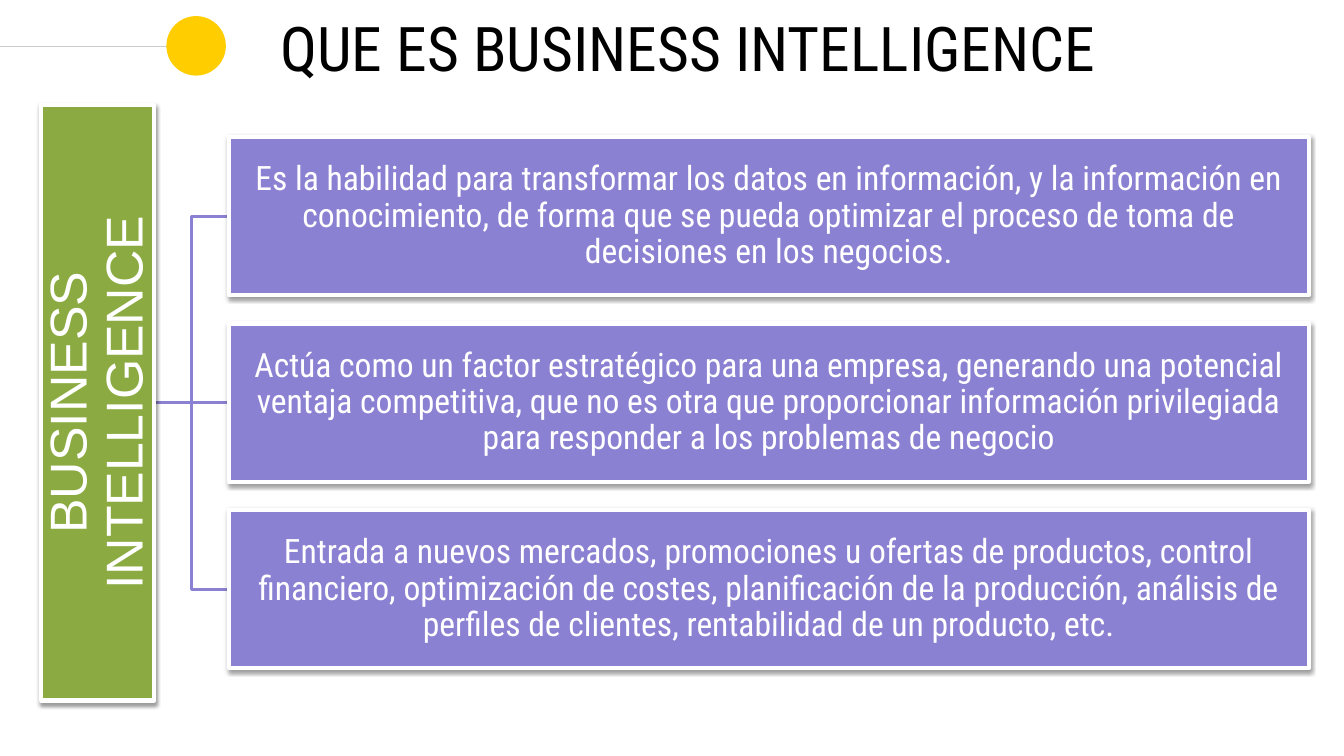
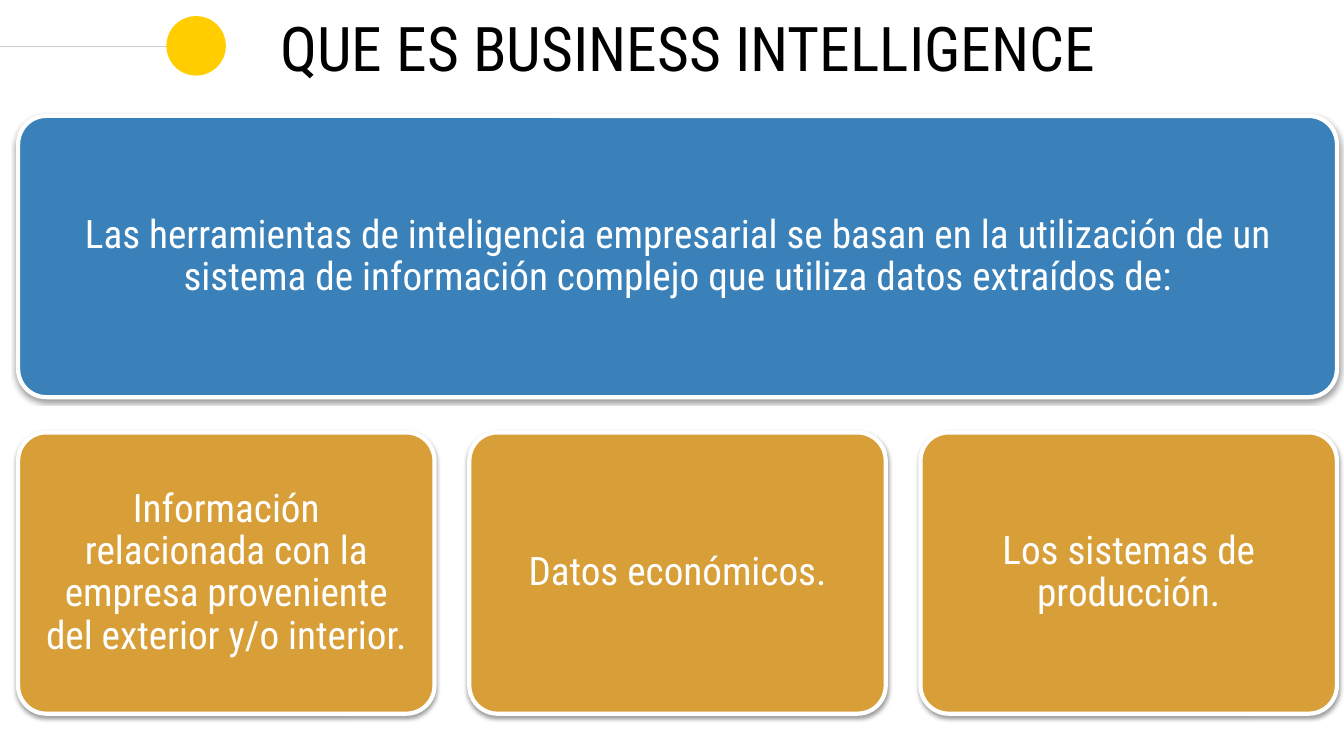
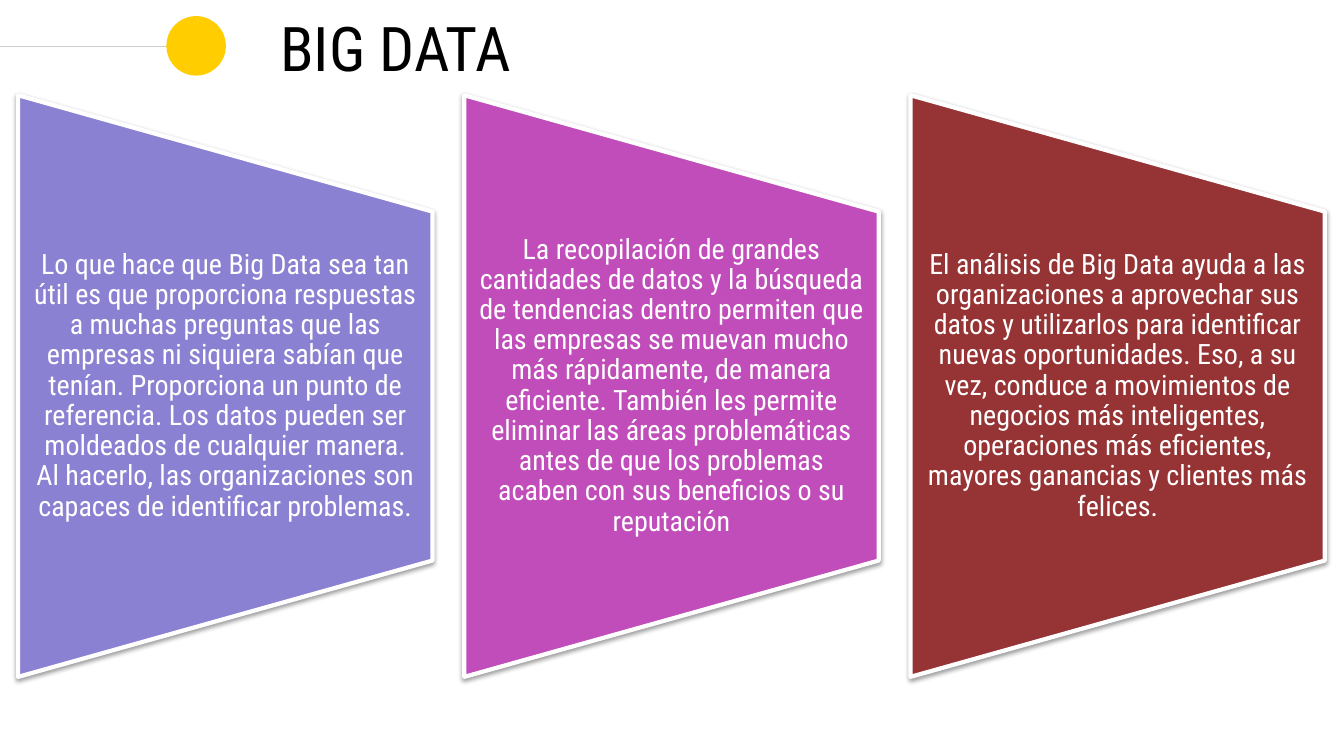
import lxml.etree
import pptx
import pptx.dml.color
import pptx.enum.shapes
import pptx.enum.text
import pptx.oxml.ns
import pptx.util

Inches = pptx.util.Inches
Pt = pptx.util.Pt
SHAPE = pptx.enum.shapes.MSO_SHAPE
CONNECTOR = pptx.enum.shapes.MSO_CONNECTOR
ALIGN = pptx.enum.text.PP_ALIGN
qn = pptx.oxml.ns.qn

COLORS = {
    "text": "000000",
    "white": "FFFFFF",
    "rule": "CCCCCC",
    "dot": "FFCD00",
    "green": "8BAB42",
    "violet": "8B81D2",
    "blue": "3A81BA",
    "ochre": "D89F39",
    "magenta": "C14DBA",
    "maroon": "963334",
}
FONT = "Roboto Condensed"

DEFINITIONS = [
    "Es la habilidad para transformar los datos en información, y la información en "
    "conocimiento, de forma que se pueda optimizar el proceso de toma de decisiones "
    "en los negocios.",
    "Actúa como un factor estratégico para una empresa, generando una potencial ventaja "
    "competitiva, que no es otra que proporcionar información privilegiada para "
    "responder a los problemas de negocio",
    "Entrada a nuevos mercados, promociones u ofertas de productos, control financiero, "
    "optimización de costes, planificación de la producción, análisis de perfiles de "
    "clientes, rentabilidad de un producto, etc.",
]
TOOLS = (
    "Las herramientas de inteligencia empresarial se basan en la utilización de un "
    "sistema de información complejo que utiliza datos extraídos de:"
)
DATA_SOURCES = [
    "Información relacionada con la empresa proveniente del exterior y/o interior.",
    "Datos económicos.",
    "Los sistemas de producción.",
]
BENEFITS = [
    ("violet",
     "Lo que hace que Big Data sea tan útil es que proporciona respuestas a muchas "
     "preguntas que las empresas ni siquiera sabían que tenían. Proporciona un punto de "
     "referencia. Los datos pueden ser moldeados de cualquier manera. Al hacerlo, las "
     "organizaciones son capaces de identificar problemas."),
    ("magenta",
     "La recopilación de grandes cantidades de datos y la búsqueda de tendencias dentro "
     "permiten que las empresas se muevan mucho más rápidamente, de manera eficiente. "
     "También les permite eliminar las áreas problemáticas antes de que los problemas "
     "acaben con sus beneficios o su reputación"),
    ("maroon",
     "El análisis de Big Data ayuda a las organizaciones a aprovechar sus datos y "
     "utilizarlos para identificar nuevas oportunidades. Eso, a su vez, conduce a "
     "movimientos de negocios más inteligentes, operaciones más eficientes, mayores "
     "ganancias y clientes más felices."),
]


def rgb(color):
    return pptx.dml.color.RGBColor.from_string(COLORS[color])


def spread(left, width, item_width, count):
    """Left edges of equal items that fill the width with equal gaps."""
    step = (width - item_width) / (count - 1)
    return [left + i * step for i in range(count)]


def write(shape, text, size, margins=(0, 0), color="white", font=FONT,
          align=ALIGN.CENTER, spacing=0.9):
    """Write one paragraph; margins are horizontal and vertical, in inches."""
    frame = shape.text_frame
    frame.word_wrap = True
    frame.vertical_anchor = pptx.enum.text.MSO_ANCHOR.MIDDLE
    frame.margin_left = frame.margin_right = Inches(margins[0])
    frame.margin_top = frame.margin_bottom = Inches(margins[1])
    paragraph = frame.paragraphs[0]
    paragraph.alignment = align
    paragraph.line_spacing = spacing
    run = paragraph.add_run()
    run.text = text
    run.font.size = Pt(size)
    run.font.name = font
    run.font.color.rgb = rgb(color)


def add_text(slide, box, text, size, **style):
    write(slide.shapes.add_textbox(*map(Inches, box)), text, size, **style)


def add_card(slide, preset, box, fill):
    """Filled shape with a white border and a soft shadow below."""
    card = slide.shapes.add_shape(preset, *map(Inches, box))
    card.fill.solid()
    card.fill.fore_color.rgb = rgb(fill)
    card.line.color.rgb = rgb("white")
    card.line.width = Pt(3)
    card.shadow.inherit = False
    effects = card._element.spPr.find(qn("a:effectLst"))
    shadow = lxml.etree.SubElement(
        effects, qn("a:outerShdw"), blurRad=str(Pt(3.1)), dist=str(Pt(1.6)),
        dir="5400000", rotWithShape="0")
    black = lxml.etree.SubElement(shadow, qn("a:srgbClr"), val="000000")
    lxml.etree.SubElement(black, qn("a:alpha"), val="38000")
    return card


def add_line(slide, kind, start, end, color, width):
    line = slide.shapes.add_connector(kind, *map(Inches, start + end))
    line.line.color.rgb = rgb(color)
    line.line.width = Pt(width)
    lxml.etree.SubElement(line._element.spPr, qn("a:effectLst"))
    return line


def add_titled_slide(deck, title):
    slide = deck.slides.add_slide(deck.slide_layouts[6])
    add_line(slide, CONNECTOR.STRAIGHT, (0, 0.46), (2.01, 0.46), "rule", 0.75)
    dot = slide.shapes.add_shape(SHAPE.OVAL, *map(Inches, (1.65, 0.16, 0.59, 0.59)))
    dot.fill.solid()
    dot.fill.fore_color.rgb = rgb("dot")
    dot.line.fill.background()
    dot.shadow.inherit = False
    add_text(slide, (2.68, 0.15, 10.58, 0.64), title, 44, margins=(0.1, 0.1),
             color="text", align=ALIGN.LEFT, spacing=1.0)
    return slide


def add_branch(slide, root, leaf):
    """Link the root's right side to the leaf's left side, behind both."""
    root_y = root.top + root.height // 2
    leaf_y = leaf.top + leaf.height // 2
    level = abs(root_y - leaf_y) < Inches(0.02)
    kind = CONNECTOR.STRAIGHT if level else CONNECTOR.ELBOW
    branch = add_line(slide, kind, (0, 0), (1, 1), "violet", 2)
    branch.begin_connect(root, 3)
    branch.end_connect(leaf, 1)
    root._element.addprevious(branch._element)


def add_definition_tree(slide):
    root = add_card(slide, SHAPE.RECTANGLE, (0.41, 1.04, 1.12, 5.91), "green")
    write(root, "BUSINESS INTELLIGENCE", 37, margins=(0.03, 0.03), font="Arial")
    root.text_frame._txBody.bodyPr.set("vert", "vert270")
    for top, definition in zip(spread(1.36, 5.27, 1.57, 3), DEFINITIONS):
        leaf = add_card(slide, SHAPE.RECTANGLE, (2.27, top, 10.71, 1.57), "violet")
        write(leaf, definition, 24, margins=(0.02, 0.02))
        add_branch(slide, root, leaf)


def add_rounded_card(slide, box, fill, text):
    card = add_card(slide, SHAPE.ROUNDED_RECTANGLE, box, fill)
    card.adjustments[0] = 0.1
    write(card, text, 28, margins=(0.12, 0.12))


def add_source_cards(slide):
    left, width, height, source_width = 0.18, 13.08, 2.79, 4.13
    add_rounded_card(slide, (left, 1.15, width, height), "blue", TOOLS)
    for x, source in zip(spread(left, width, source_width, 3), DATA_SOURCES):
        add_rounded_card(slide, (x, 4.29, source_width, height), "ochre", source)


def add_benefit_panels(slide):
    width, height, middle = 4.11, 5.77, 3.83
    for x, (fill, benefit) in zip(spread(0.18, 12.96, width, 3), BENEFITS):
        # The preset lies on its side, so its box swaps width and height.
        panel = add_card(slide, SHAPE.FLOWCHART_MANUAL_OPERATION,
                         (x + (width - height) / 2, middle - width / 2, height, width),
                         fill)
        panel.rotation = 270
        add_text(slide, (x, 2.1, width, 3.46), benefit, 20, margins=(0.14, 0))


def main():
    deck = pptx.Presentation()
    deck.slide_width = Inches(13.33)
    deck.slide_height = Inches(7.5)
    add_definition_tree(add_titled_slide(deck, "QUE ES BUSINESS INTELLIGENCE"))
    add_source_cards(add_titled_slide(deck, "QUE ES BUSINESS INTELLIGENCE"))
    add_benefit_panels(add_titled_slide(deck, "BIG DATA"))
    deck.save("out.pptx")


if __name__ == "__main__":
    main()
